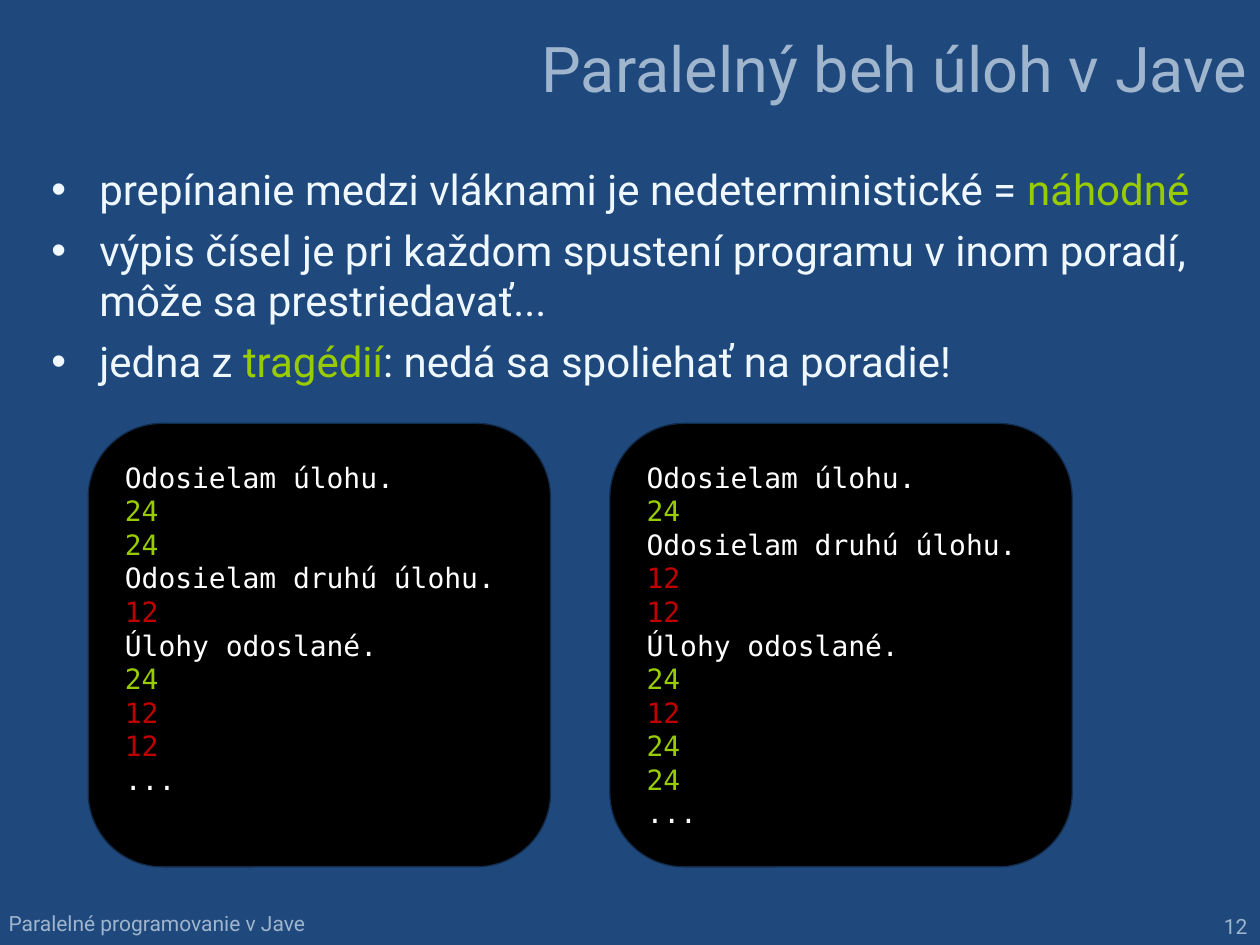
"""Build a slide about nondeterministic thread switching."""
from dataclasses import dataclass

from lxml import etree
from pptx import Presentation
from pptx.dml.color import RGBColor
from pptx.enum import shapes, text
from pptx.oxml import ns
from pptx.util import Inches, Pt


@dataclass(frozen=True)
class Theme:
    """Colours, fonts and type sizes of the slide."""
    background: str = "1F497D"
    muted: str = "9FB5CD"
    body: str = "EFF7FF"
    green: str = "99CC00"
    red: str = "C00000"
    white: str = "FFFFFF"
    console: str = "000000"
    console_line: str = "122B4A"
    font: str = "Roboto"
    code_font: str = "DejaVu Sans Mono"
    title_size: int = 36
    body_size: int = 24
    code_size: int = 16
    footer_size: int = 12


THEME = Theme()
TASK_COLOURS = {"24": THEME.green, "12": THEME.red}
BULLETS = [
    [("prepínanie medzi vláknami je nedeterministické = ", THEME.body),
     ("náhodné", THEME.green)],
    [("výpis čísel je pri každom spustení programu v inom poradí, "
      "môže sa prestriedavať...", THEME.body)],
    [("jedna z ", THEME.body), ("tragédií", THEME.green),
     (": nedá sa spoliehať na poradie!", THEME.body)],
]
OUTPUTS = [
    ["Odosielam úlohu.", "24", "24", "Odosielam druhú úlohu.", "12",
     "Úlohy odoslané.", "24", "12", "12", "..."],
    ["Odosielam úlohu.", "24", "Odosielam druhú úlohu.", "12", "12",
     "Úlohy odoslané.", "24", "12", "24", "24", "..."],
]


def add_run(paragraph, wording, colour, size, font=THEME.font):
    """Append a formatted run to the paragraph."""
    run = paragraph.add_run()
    run.text = wording
    run.font.name = font
    run.font.size = Pt(size)
    run.font.color.rgb = RGBColor.from_string(colour)


def get_paragraph(frame, index):
    """Return the first paragraph of the frame, or a new one after it."""
    return frame.add_paragraph() if index else frame.paragraphs[0]


def add_label(slide, box, wording, size, align, anchor=text.MSO_ANCHOR.TOP):
    """Place one line of muted text in the box."""
    frame = slide.shapes.add_textbox(*map(Inches, box)).text_frame
    frame.word_wrap = True
    frame.vertical_anchor = anchor
    frame.paragraphs[0].alignment = align
    add_run(frame.paragraphs[0], wording, THEME.muted, size)


def set_bullet(paragraph, indent=0.38):
    """Give the paragraph a hanging round bullet."""
    properties = paragraph._p.get_or_add_pPr()
    properties.set("marL", str(Inches(indent)))
    properties.set("indent", str(-Inches(indent)))
    colour = etree.SubElement(properties, ns.qn("a:buClr"))
    etree.SubElement(colour, ns.qn("a:srgbClr"), val=THEME.body)
    etree.SubElement(properties, ns.qn("a:buFont"), typeface="Arial")
    etree.SubElement(properties, ns.qn("a:buChar"), char="•")


def add_bullets(slide, box, items):
    """Place the bulleted list in the box."""
    frame = slide.shapes.add_textbox(*map(Inches, box)).text_frame
    frame.word_wrap = True
    for index, parts in enumerate(items):
        paragraph = get_paragraph(frame, index)
        set_bullet(paragraph)
        if index:
            paragraph.space_before = Pt(6)
        for wording, colour in parts:
            add_run(paragraph, wording, colour, THEME.body_size)


def add_console(slide, box, lines):
    """Place a rounded console panel with coloured program output."""
    panel = slide.shapes.add_shape(
        shapes.MSO_SHAPE.ROUNDED_RECTANGLE, *map(Inches, box))
    panel.adjustments[0] = 0.167
    panel.shadow.inherit = False
    panel.fill.solid()
    panel.fill.fore_color.rgb = RGBColor.from_string(THEME.console)
    panel.line.color.rgb = RGBColor.from_string(THEME.console_line)
    panel.line.width = Pt(0.75)
    frame = panel.text_frame
    frame.word_wrap = True
    frame.vertical_anchor = text.MSO_ANCHOR.TOP
    frame.margin_left = frame.margin_right = Inches(0.12)
    frame.margin_top = frame.margin_bottom = Inches(0.12)
    for index, line in enumerate(lines):
        paragraph = get_paragraph(frame, index)
        paragraph.alignment = text.PP_ALIGN.LEFT
        add_run(paragraph, line, TASK_COLOURS.get(line, THEME.white),
                THEME.code_size, THEME.code_font)


def add_consoles(slide, box, outputs, gap=0.47):
    """Share the box among equal console panels."""
    left, top, width, height = box
    panel_width = (width - gap * (len(outputs) - 1)) / len(outputs)
    for index, lines in enumerate(outputs):
        panel_left = left + index * (panel_width + gap)
        add_console(slide, (panel_left, top, panel_width, height), lines)


def main():
    """Build and save the presentation."""
    presentation = Presentation()
    presentation.slide_width = Inches(10)
    presentation.slide_height = Inches(7.5)
    slide = presentation.slides.add_slide(presentation.slide_layouts[6])
    slide.background.fill.solid()
    slide.background.fill.fore_color.rgb = RGBColor.from_string(THEME.background)
    add_label(slide, (-0.03, 7.18, 2.92, 0.3), "Paralelné programovanie v Jave",
              THEME.footer_size, text.PP_ALIGN.LEFT)
    add_label(slide, (6.97, 7.2, 3.03, 0.3), "12",
              THEME.footer_size, text.PP_ALIGN.RIGHT)
    add_label(slide, (1.14, 0, 8.86, 1.07), "Paralelný beh úloh v Jave",
              THEME.title_size, text.PP_ALIGN.RIGHT, text.MSO_ANCHOR.MIDDLE)
    add_bullets(slide, (0.31, 1.25, 9.45, 5.63), BULLETS)
    add_consoles(slide, (0.7, 3.36, 7.81, 3.52), OUTPUTS)
    presentation.save("out.pptx")


if __name__ == "__main__":
    main()
